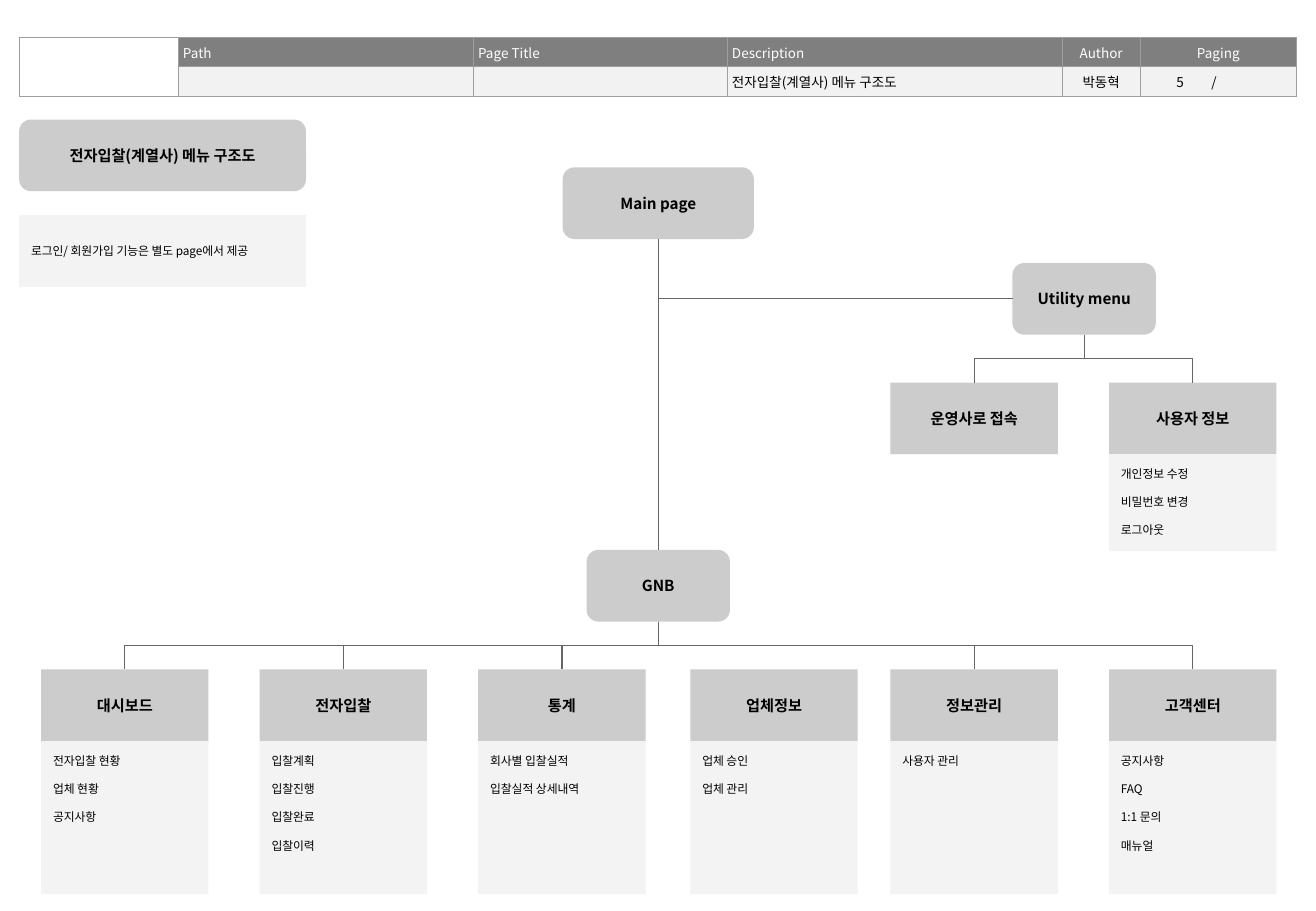
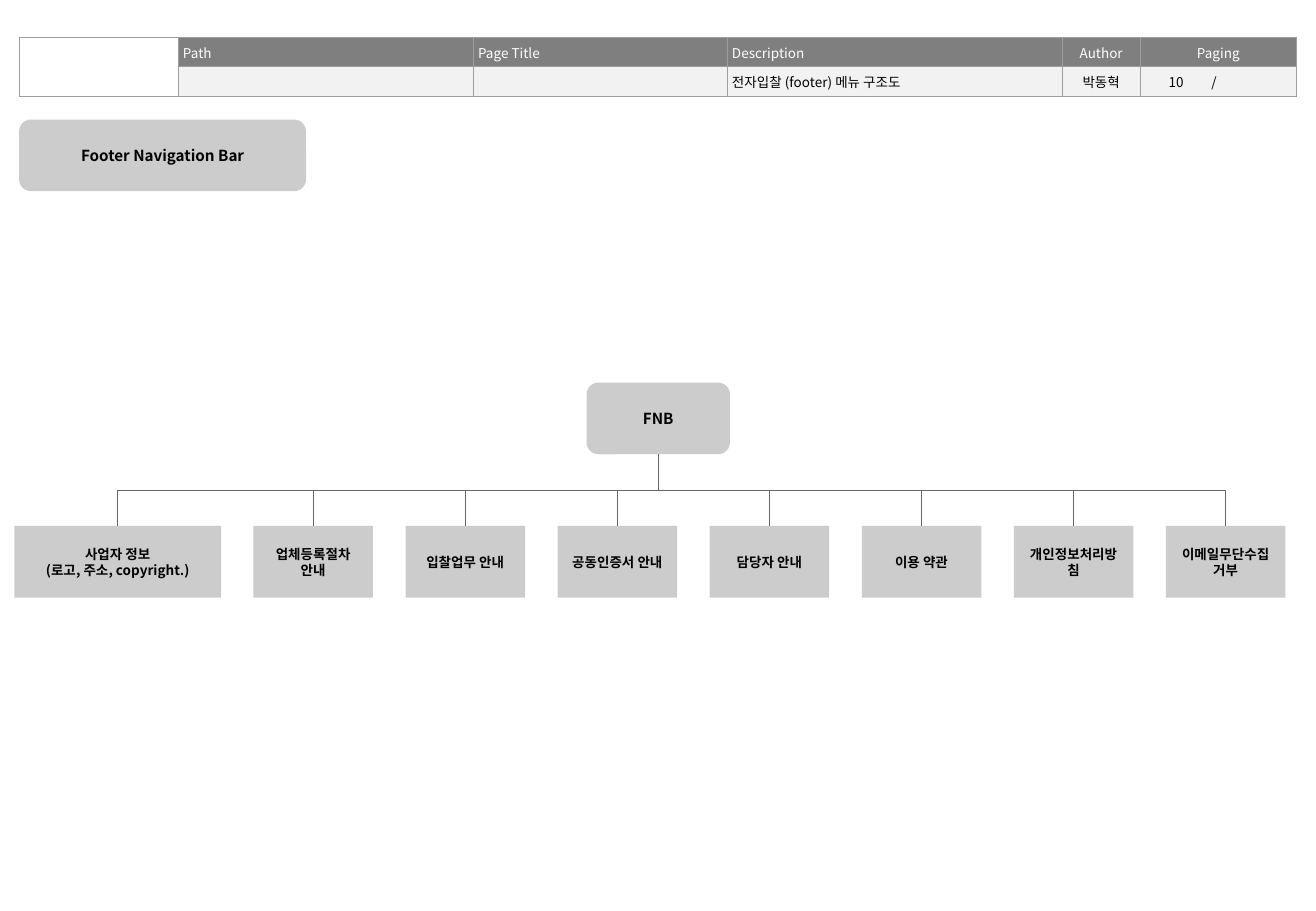
from lxml.etree import SubElement
from pptx import Presentation
from pptx.dml.color import RGBColor
from pptx.enum.shapes import MSO_CONNECTOR, MSO_SHAPE
from pptx.enum.text import MSO_ANCHOR, PP_ALIGN
from pptx.oxml.ns import qn
from pptx.util import Cm, Inches, Pt

BLACK = RGBColor(0x00, 0x00, 0x00)
WHITE = RGBColor(0xFF, 0xFF, 0xFF)
NODE_GREY = RGBColor(0xCC, 0xCC, 0xCC)
PANEL_GREY = RGBColor(0xF3, 0xF3, 0xF3)
HEAD_GREY = RGBColor(0x7F, 0x7F, 0x7F)
CELL_GREY = RGBColor(0xF2, 0xF2, 0xF2)
LINK_GREY = RGBColor(0x66, 0x66, 0x66)
BORDER = "9E9E9E"
FONT = "Noto Sans CJK KR"

# A4 slide, laid out on a grid of 5 mm squares
SLIDE_WIDTH, SLIDE_HEIGHT = Pt(780), Pt(540)
UNIT = Cm(0.5)
MARGIN = 0.8
NODE_ROWS = 3
MENU_COLUMNS = 7
TOP, LEFT, BOTTOM = 0, 1, 2

HEADER_COLUMNS = (6.65, 12.34, 10.62, 14.02, 3.25, 2.03, 2.13, 2.39)
HEADINGS = ("", "Path", "Page Title", "Description", "Author", "Paging", "", "")
FIRST_PAGING, LAST_PAGING = 5, 7


def grid(count):
    return int(count * UNIT)


class SitemapDeck:
    """Shared style and the slide being built."""

    def __init__(self):
        self.deck = Presentation()
        self.deck.slide_width = SLIDE_WIDTH
        self.deck.slide_height = SLIDE_HEIGHT
        self.slide = None

    def new_page(self, description, page_number, title):
        self.slide = self.deck.slides.add_slide(self.deck.slide_layouts[6])
        self.header(description, page_number)
        self.node(title, MARGIN, 5, 12, rounded=True)

    def style(self, frame, size, colour, align, bold=False, gap=0):
        for index, paragraph in enumerate(frame.paragraphs):
            paragraph.alignment = align
            if index and gap:
                paragraph.space_before = Pt(gap)
            for run in paragraph.runs:
                run.font.size = Pt(size)
                run.font.bold = bold
                run.font.name = FONT
                run.font.color.rgb = colour
                SubElement(run.font._element, qn("a:ea"), typeface=FONT)
            if not paragraph.runs:
                SubElement(paragraph._p, qn("a:endParaRPr"), sz=str(size * 100))

    # Header table
    def header(self, description, page_number):
        table = self.slide.shapes.add_table(
            2, len(HEADER_COLUMNS), grid(MARGIN), grid(1.57),
            grid(sum(HEADER_COLUMNS)), grid(2.4)).table
        table.first_row = table.horz_banding = False
        for column, width in zip(table.columns, HEADER_COLUMNS):
            column.width = grid(width)
        for row in table.rows:
            row.height = grid(1.2)
        values = ("", "", "", description, "박동혁", page_number, "/", "")
        for row, texts in enumerate((HEADINGS, values)):
            for column, text in enumerate(texts):
                self.header_cell(table.cell(row, column), row, column, text)
        table.cell(0, 0).merge(table.cell(1, 0))
        table.cell(0, FIRST_PAGING).merge(table.cell(0, LAST_PAGING))

    def header_cell(self, cell, row, column, text):
        cell.text_frame.text = text
        cell.vertical_anchor = MSO_ANCHOR.MIDDLE
        cell.margin_top = cell.margin_bottom = Inches(0.04)
        cell.margin_left = cell.margin_right = Inches(0.02 if text == "/" else 0.04)
        align = PP_ALIGN.CENTER if column >= 4 else PP_ALIGN.LEFT
        if row == 1 and column == FIRST_PAGING:
            align = PP_ALIGN.RIGHT
        self.style(cell.text_frame, 8, BLACK if row else WHITE, align)
        # The lower paging cells have no lines between them
        hidden = set()
        if row == 1 and FIRST_PAGING < column <= LAST_PAGING:
            hidden.add("a:lnL")
        if row == 1 and FIRST_PAGING <= column < LAST_PAGING:
            hidden.add("a:lnR")
        for edge in ("a:lnL", "a:lnR", "a:lnT", "a:lnB"):
            line = SubElement(cell._tc.get_or_add_tcPr(), qn(edge), w=str(Pt(0.75)))
            if edge in hidden:
                SubElement(line, qn("a:noFill"))
            else:
                SubElement(SubElement(line, qn("a:solidFill")),
                           qn("a:srgbClr"), val=BORDER)
        if column == 0:
            cell.fill.background()
        else:
            cell.fill.solid()
            cell.fill.fore_color.rgb = CELL_GREY if row else HEAD_GREY

    # Boxes
    def box(self, kind, text, left, top, width, height, fill, anchor):
        box = self.slide.shapes.add_shape(
            kind, grid(left), grid(top), grid(width), grid(height))
        box.shadow.inherit = False
        box.fill.solid()
        box.fill.fore_color.rgb = fill
        box.line.fill.background()
        frame = box.text_frame
        frame.word_wrap = True
        frame.vertical_anchor = anchor
        frame.margin_left = frame.margin_right = Inches(0.1)
        frame.margin_top = frame.margin_bottom = Inches(0.1)
        frame.text = text
        return box

    def node(self, text, left, top, width, size=9, rounded=False):
        kind = MSO_SHAPE.ROUNDED_RECTANGLE if rounded else MSO_SHAPE.RECTANGLE
        node = self.box(kind, text, left, top, width, NODE_ROWS,
                        NODE_GREY, MSO_ANCHOR.MIDDLE)
        self.style(node.text_frame, size, BLACK, PP_ALIGN.CENTER, bold=True)
        return node

    def panel(self, text, left, top, width, height, anchor=MSO_ANCHOR.TOP):
        panel = self.box(MSO_SHAPE.RECTANGLE, text, left, top, width, height,
                         PANEL_GREY, anchor)
        self.style(panel.text_frame, 7, BLACK, PP_ALIGN.LEFT, gap=8.4)

    def menu(self, title, items, left, top, panel_rows):
        menu = self.node(title, left, top, MENU_COLUMNS)
        if items:
            self.panel("\n".join(items), left, top + NODE_ROWS,
                       MENU_COLUMNS, panel_rows)
        return menu

    # Connectors
    def link(self, parent, child, kind=MSO_CONNECTOR.ELBOW, side=TOP):
        link = self.slide.shapes.add_connector(kind, 0, 0, 0, 0)
        link.begin_connect(parent, BOTTOM)
        link.end_connect(child, side)
        link.line.color.rgb = LINK_GREY
        link.line.width = Pt(0.75)
        SubElement(link._element.spPr, qn("a:effectLst"))
        if kind == MSO_CONNECTOR.ELBOW:
            self.turn_down(link, side)

    def turn_down(self, link, side):
        """Turn an elbow so that it leaves its parent downwards."""
        across = link.end_x - link.begin_x
        drop = link.end_y - link.begin_y
        middle_x = (link.begin_x + link.end_x) // 2
        middle_y = (link.begin_y + link.end_y) // 2
        link.left, link.top = middle_x - drop // 2, middle_y - abs(across) // 2
        link.width, link.height = drop, abs(across)
        properties = link._element.spPr
        frame = properties.find(qn("a:xfrm"))
        frame.set("rot", str((270 if across > 0 else 90) * 60000))
        frame.set("flipH", "1" if across > 0 else "0")
        if side == LEFT:
            properties.find(qn("a:prstGeom")).set("prst", "bentConnector2")


def build_menu_page(deck):
    deck.new_page("전자입찰(계열사) 메뉴 구조도", "5", "전자입찰(계열사) 메뉴 구조도")
    deck.panel("로그인/ 회원가입 기능은 별도 page에서 제공",
               MARGIN, 9, 12, NODE_ROWS, MSO_ANCHOR.MIDDLE)

    # Trunk
    main_page = deck.node("Main page", 23.53, 7, 8, rounded=True)
    utility = deck.node("Utility menu", 42.34, 11, 6, rounded=True)
    gnb = deck.node("GNB", 24.53, 23, 6, rounded=True)
    deck.link(main_page, gnb, MSO_CONNECTOR.STRAIGHT)
    deck.link(main_page, utility, side=LEFT)

    # Menus under each branch
    info_left, help_left = 37.24, 46.38
    utility_menus = (
        ("운영사로 접속", (), info_left),
        ("사용자 정보", ("개인정보 수정", "비밀번호 변경", "로그아웃"), help_left),
    )
    main_menus = (
        ("대시보드", ("전자입찰 현황", "업체 현황", "공지사항"), 1.72),
        ("전자입찰", ("입찰계획", "입찰진행", "입찰완료", "입찰이력"), 10.86),
        ("통계", ("회사별 입찰실적", "입찰실적 상세내역"), 20),
        ("업체정보", ("업체 승인", "업체 관리"), 28.87),
        ("정보관리", ("사용자 관리",), info_left),
        ("고객센터", ("공지사항", "FAQ", "1:1 문의", "매뉴얼"), help_left),
    )
    for parent, menus, top, panel_rows in ((utility, utility_menus, 16, 4.05),
                                           (gnb, main_menus, 28, 6.4)):
        for title, items, left in menus:
            menu = deck.menu(title, items, left, top, panel_rows)
            # The vendor menu hangs under the bar without a drop line
            if title != "업체정보":
                deck.link(parent, menu)


def build_footer_page(deck):
    deck.new_page("전자입찰 (footer) 메뉴 구조도", "10", "Footer Navigation Bar")
    fnb = deck.node("FNB", 24.53, 16, 6, rounded=True)

    # Footer entries: one wide, the rest at an equal pitch
    top, first_left, pitch = 22, 10.6, 6.36
    business = deck.node("사업자 정보\n(로고, 주소, copyright.)", 0.6, top, 8.65, size=8)
    deck.link(fnb, business)
    entries = ("업체등록절차 안내", "입찰업무 안내", "공동인증서 안내", "담당자 안내",
               "이용 약관", "개인정보처리방침", "이메일무단수집거부")
    for index, title in enumerate(entries):
        entry = deck.node(title, first_left + index * pitch, top, 5, size=8)
        deck.link(fnb, entry)


def main():
    sitemap = SitemapDeck()
    build_menu_page(sitemap)
    build_footer_page(sitemap)
    sitemap.deck.save("out.pptx")


if __name__ == "__main__":
    main()
